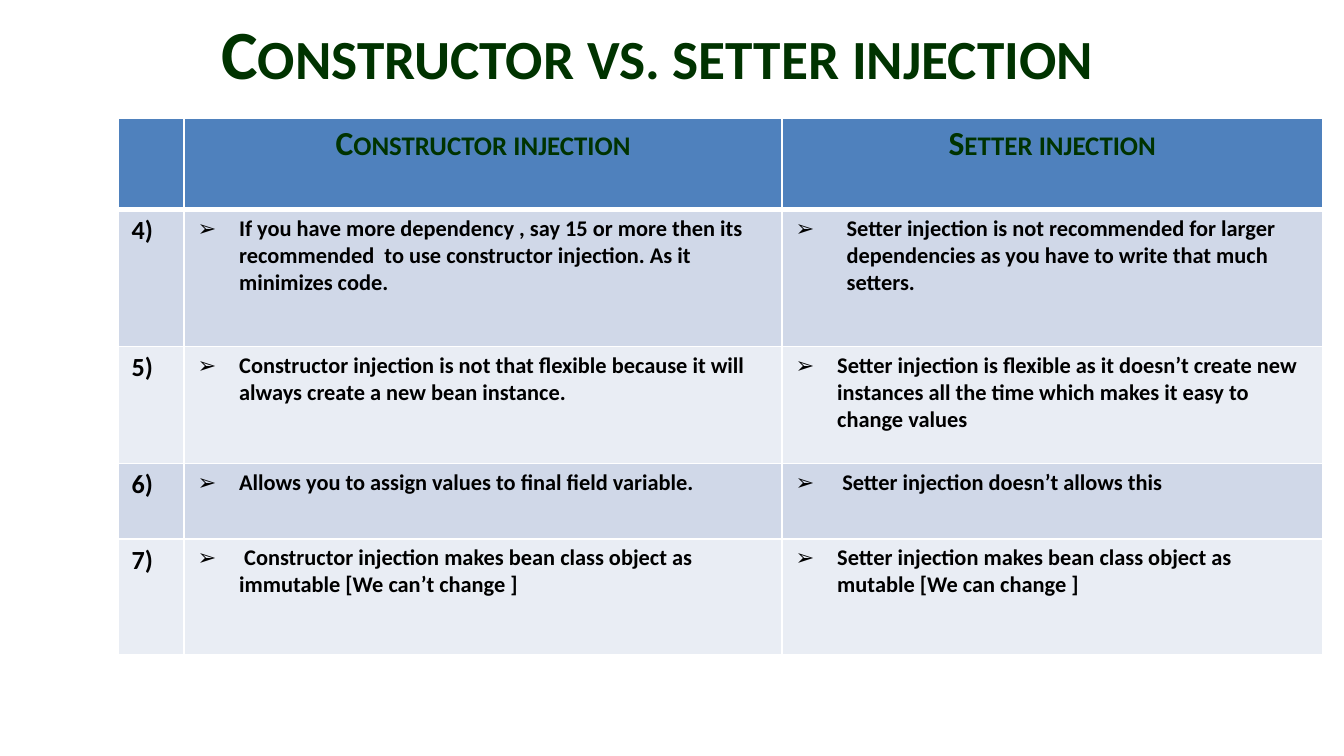
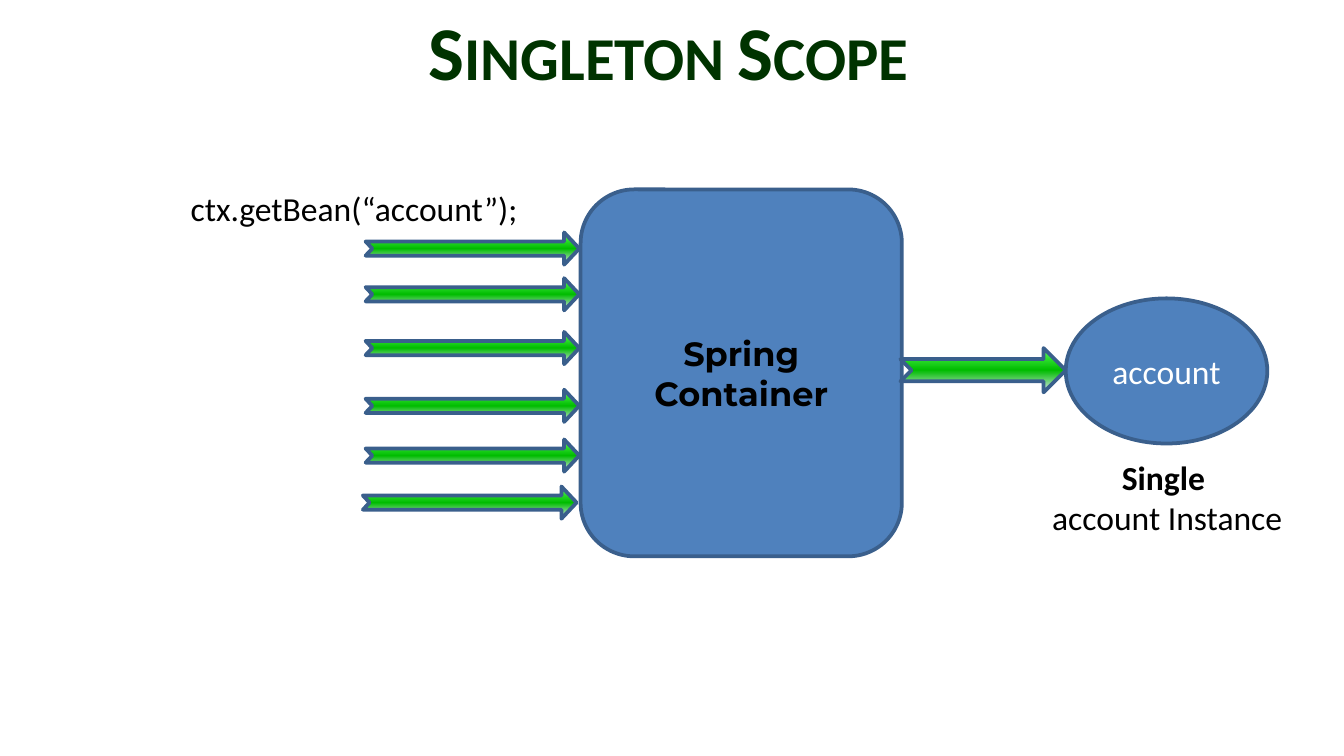
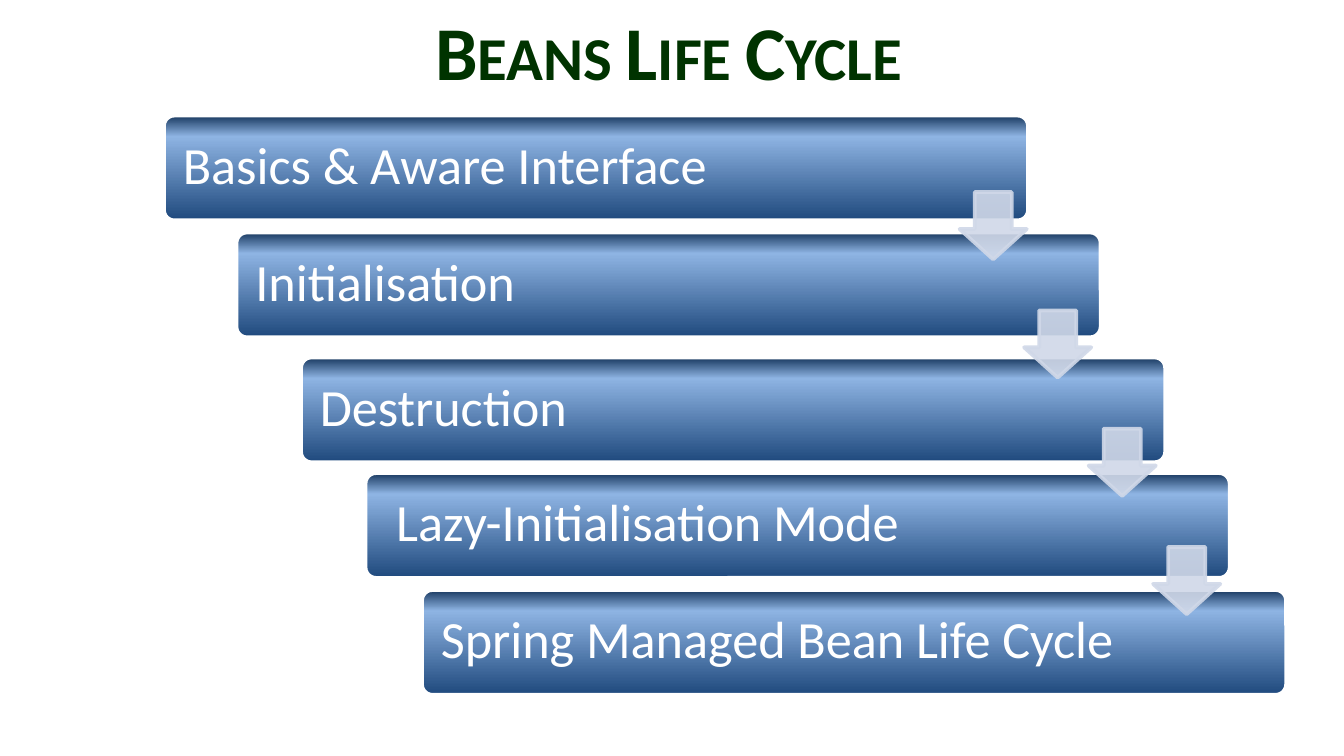
from dataclasses import dataclass

from lxml.etree import SubElement
from pptx import Presentation
from pptx.dml.color import RGBColor
from pptx.enum.shapes import MSO_SHAPE
from pptx.enum.text import MSO_ANCHOR, MSO_AUTO_SIZE, PP_ALIGN
from pptx.oxml.ns import qn
from pptx.util import Inches, Pt


@dataclass(frozen=True)
class Theme:
    font: str = "Calibri"
    accent_font: str = "Montserrat"
    heading: str = "003300"
    ink: str = "000000"
    white: str = "FFFFFF"
    blue: str = "4F81BD"
    outline: str = "3A5F8C"
    band_dark: str = "D0D8E8"
    band_light: str = "E9EDF4"
    arrow_gradient: tuple = ((0, "5DFF5D"), (50, "00BC00"), (100, "E1E8F5"))
    step_gradient: tuple = ((0, "1F497D"), (80, "8EB4E3"), (100, "17375E"))
    title_size: float = 40.7
    long_title_size: float = 37
    step_size: float = 28
    label_size: float = 18
    number_size: float = 14
    cell_size: float = 12


THEME = Theme()


@dataclass(frozen=True)
class Area:
    left: float
    top: float
    width: float
    height: float

    def lengths(self) -> list:
        return [Inches(side) for side in (self.left, self.top, self.width, self.height)]


@dataclass(frozen=True)
class Comparison:
    number: str
    constructor: str
    setter: str
    setter_indent: float = 0.31


@dataclass(frozen=True)
class Step:
    label: str
    left: float
    top: float
    label_width: float = 5.4


COLUMN_WIDTHS = (0.49, 4.45, 4.02)
ROW_HEIGHTS = (0.68, 1.02, 0.87, 0.56, 0.86)
COMPARISONS = (
    Comparison(
        "4)",
        "If you have more dependency , say 15 or more then its recommended  to use constructor injection. As it minimizes code.",
        "Setter injection is not recommended for larger dependencies as you have to write that much setters.",
        0.38,
    ),
    Comparison(
        "5)",
        "Constructor injection is not that flexible because it will always create a new bean instance.",
        "Setter injection is flexible as it doesn’t create new instances all the time which makes it easy to change values",
    ),
    Comparison(
        "6)",
        "Allows you to assign values to final field variable.",
        " Setter injection doesn’t allows this",
    ),
    Comparison(
        "7)",
        " Constructor injection makes bean class object as immutable [We can’t change ]",
        "Setter injection makes bean class object as mutable [We can change ]",
    ),
)
REQUEST_ARROWS = ((2.72, 1.73), (2.72, 2.07), (2.72, 2.47), (2.72, 2.9), (2.72, 3.27), (2.7, 3.62))
STEPS = (
    Step("Basics & Aware Interface", 1.22, 0.86, 5.5),
    Step("Initialisation", 1.76, 1.73),
    Step("Destruction", 2.24, 2.66),
    Step(" Lazy-Initialisation Mode", 2.72, 3.52),
    Step("Spring Managed Bean Life Cycle", 3.14, 4.39),
)


def write(frame, text: str, *, size: float, color: str = THEME.ink, font: str = THEME.font,
          bold: bool = False, small_caps: bool = False, align=PP_ALIGN.LEFT, indent: float = 0):
    para = frame.add_paragraph() if frame.text else frame.paragraphs[0]
    para.alignment = align
    if indent:
        properties = para._p.get_or_add_pPr()
        properties.set("marL", str(Inches(indent)))
        properties.set("indent", str(-Inches(indent)))
        SubElement(properties, qn("a:buFont"), typeface=THEME.font)
        SubElement(properties, qn("a:buChar"), char="➢")
    span = para.add_run()
    span.text = text
    span.font.name = font
    span.font.size = Pt(size)
    span.font.bold = bold
    span.font.color.rgb = RGBColor.from_string(color)
    if small_caps:
        span._r.get_or_add_rPr().set("cap", "small")
    return para


def add_page(deck, title: str, area: Area, size: float = THEME.title_size,
             left_margin: float = 0.1, top_margin: float = 0.05):
    page = deck.slides.add_slide(deck.slide_layouts[5])
    box = page.shapes.title
    box.left, box.top, box.width, box.height = area.lengths()
    frame = box.text_frame
    frame.word_wrap = True
    frame.auto_size = MSO_AUTO_SIZE.NONE
    frame.vertical_anchor = MSO_ANCHOR.MIDDLE
    frame.margin_left = Inches(left_margin)
    frame.margin_top = Inches(top_margin)
    write(frame, title, size=size, color=THEME.heading, bold=True, small_caps=True, align=PP_ALIGN.CENTER)
    return page


def fill_gradient(shape, stops: tuple, angle: int) -> None:
    shape.fill.gradient()
    shape.fill.gradient_angle = angle
    stop_list = next(shape.element.iter(qn("a:gsLst")))
    stop_list.clear()
    for percent, color in stops:
        stop = SubElement(stop_list, qn("a:gs"), pos=str(percent * 1000))
        SubElement(stop, qn("a:srgbClr"), val=color)


def add_figure(page, kind, area: Area, *, color: str = THEME.blue, line: str = THEME.outline,
               gradient: tuple = (), angle: int = 270, adjustments: tuple = (), opacity: int = 100):
    shape = page.shapes.add_shape(kind, *area.lengths())
    shape.shadow.inherit = False
    for index, value in enumerate(adjustments):
        shape.adjustments[index] = value
    if gradient:
        fill_gradient(shape, gradient, angle)
    else:
        shape.fill.solid()
        shape.fill.fore_color.rgb = RGBColor.from_string(color)
    shape.line.color.rgb = RGBColor.from_string(line)
    shape.line.width = Pt(2)
    if opacity < 100:
        for paint in shape.element.iter(qn("a:srgbClr")):
            SubElement(paint, qn("a:alpha"), val=str(opacity * 1000))
    shape.text_frame.word_wrap = True
    shape.text_frame.vertical_anchor = MSO_ANCHOR.MIDDLE
    return shape


def add_label(page, area: Area, fit=MSO_AUTO_SIZE.SHAPE_TO_FIT_TEXT):
    frame = page.shapes.add_textbox(*area.lengths()).text_frame
    frame.word_wrap = True
    frame.auto_size = fit
    return frame


def style_cell(cell, color: str, top: float, bottom: float) -> None:
    cell.margin_left = cell.margin_right = Inches(0.1)
    cell.margin_top = cell.margin_bottom = Inches(0.04)
    properties = cell._tc.get_or_add_tcPr()
    for side, width in (("L", 1), ("R", 1), ("T", top), ("B", bottom)):
        border = SubElement(properties, qn(f"a:ln{side}"), w=str(Pt(width)))
        paint = SubElement(border, qn("a:solidFill"))
        SubElement(paint, qn("a:srgbClr"), val=THEME.white)
    cell.fill.solid()
    cell.fill.fore_color.rgb = RGBColor.from_string(color)


def build_comparison(deck) -> None:
    page = add_page(deck, "Constructor vs. setter injection", Area(-0.28, -0.01, 10.14, 0.76),
                    THEME.long_title_size, left_margin=0.3, top_margin=0.08)
    area = Area(0.88, 0.88, sum(COLUMN_WIDTHS), sum(ROW_HEIGHTS))
    table = page.shapes.add_table(len(ROW_HEIGHTS), len(COLUMN_WIDTHS), *area.lengths()).table
    for column, width in zip(table.columns, COLUMN_WIDTHS):
        column.width = Inches(width)
    fills = (THEME.blue, THEME.band_dark, THEME.band_light, THEME.band_dark, THEME.band_light)
    for index, (row, height, color) in enumerate(zip(table.rows, ROW_HEIGHTS, fills)):
        row.height = Inches(height)
        for cell in row.cells:
            style_cell(cell, color, 3 if index == 1 else 1, 3 if index == 0 else 1)
    for column, heading in enumerate(("Constructor injection", "Setter injection"), start=1):
        write(table.cell(0, column).text_frame, heading, size=THEME.label_size, color=THEME.heading,
              bold=True, small_caps=True, align=PP_ALIGN.CENTER)
    for index, item in enumerate(COMPARISONS, start=1):
        entries = (
            (item.number, THEME.number_size, 0),
            (item.constructor, THEME.cell_size, 0.31),
            (item.setter, THEME.cell_size, item.setter_indent),
        )
        for column, (text, size, indent) in enumerate(entries):
            write(table.cell(index, column).text_frame, text, size=size, bold=True, indent=indent)


def build_singleton(deck, title_area: Area) -> None:
    page = add_page(deck, "Singleton Scope", title_area)
    container = add_figure(page, MSO_SHAPE.ROUNDED_RECTANGLE, Area(4.32, 1.41, 2.39, 2.73))
    for word in ("Spring", "Container"):
        write(container.text_frame, word, size=THEME.label_size, font=THEME.accent_font, bold=True,
              align=PP_ALIGN.CENTER)
    for left, top in REQUEST_ARROWS:
        add_figure(page, MSO_SHAPE.NOTCHED_RIGHT_ARROW, Area(left, top, 1.59, 0.24),
                   gradient=THEME.arrow_gradient, adjustments=(0.44, 0.47))
    add_figure(page, MSO_SHAPE.NOTCHED_RIGHT_ARROW, Area(6.7, 2.59, 1.23, 0.33),
               gradient=THEME.arrow_gradient)
    write(add_label(page, Area(1.32, 1.35, 2.99, 0.4)), "ctx.getBean(“account”);", size=THEME.label_size)
    account = add_figure(page, MSO_SHAPE.OVAL, Area(7.93, 2.22, 1.5, 1.08))
    write(account.text_frame, "account", size=THEME.label_size, color=THEME.white, align=PP_ALIGN.CENTER)
    caption = add_label(page, Area(7.7, 3.35, 1.97, 0.71))
    write(caption, "Single ", size=THEME.label_size, bold=True, align=PP_ALIGN.CENTER)
    write(caption, "account Instance", size=THEME.label_size, align=PP_ALIGN.CENTER)


def build_life_cycle(deck, title_area: Area) -> None:
    page = add_page(deck, "Beans Life Cycle", title_area)
    for step in STEPS:
        add_figure(page, MSO_SHAPE.ROUNDED_RECTANGLE, Area(step.left, step.top, 6.43, 0.78),
                   line=THEME.white, gradient=THEME.step_gradient, angle=90, adjustments=(0.1,))
        label = add_label(page, Area(step.left + 0.02, step.top + 0.02, step.label_width, 0.73),
                          MSO_AUTO_SIZE.NONE)
        label.vertical_anchor = MSO_ANCHOR.MIDDLE
        label.margin_left = label.margin_right = Inches(0.12)
        label.margin_top = label.margin_bottom = Inches(0.12)
        para = write(label, step.label, size=THEME.step_size, color=THEME.white)
        para.line_spacing = 0.9
    for index in range(len(STEPS) - 1):
        add_figure(page, MSO_SHAPE.DOWN_ARROW, Area(7.14 + 0.48 * index, 1.43 + 0.88 * index, 0.5, 0.5),
                   color=THEME.band_dark, line=THEME.band_dark, adjustments=(0.55, 0.45), opacity=90)


def main() -> None:
    deck = Presentation()
    deck.slide_width = Inches(10)
    deck.slide_height = deck.slide_width * 9 // 16
    title_area = Area(-0.06, -0.01, 10.07, 0.76)
    build_comparison(deck)
    build_singleton(deck, title_area)
    build_life_cycle(deck, title_area)
    deck.save("out.pptx")


if __name__ == "__main__":
    main()
